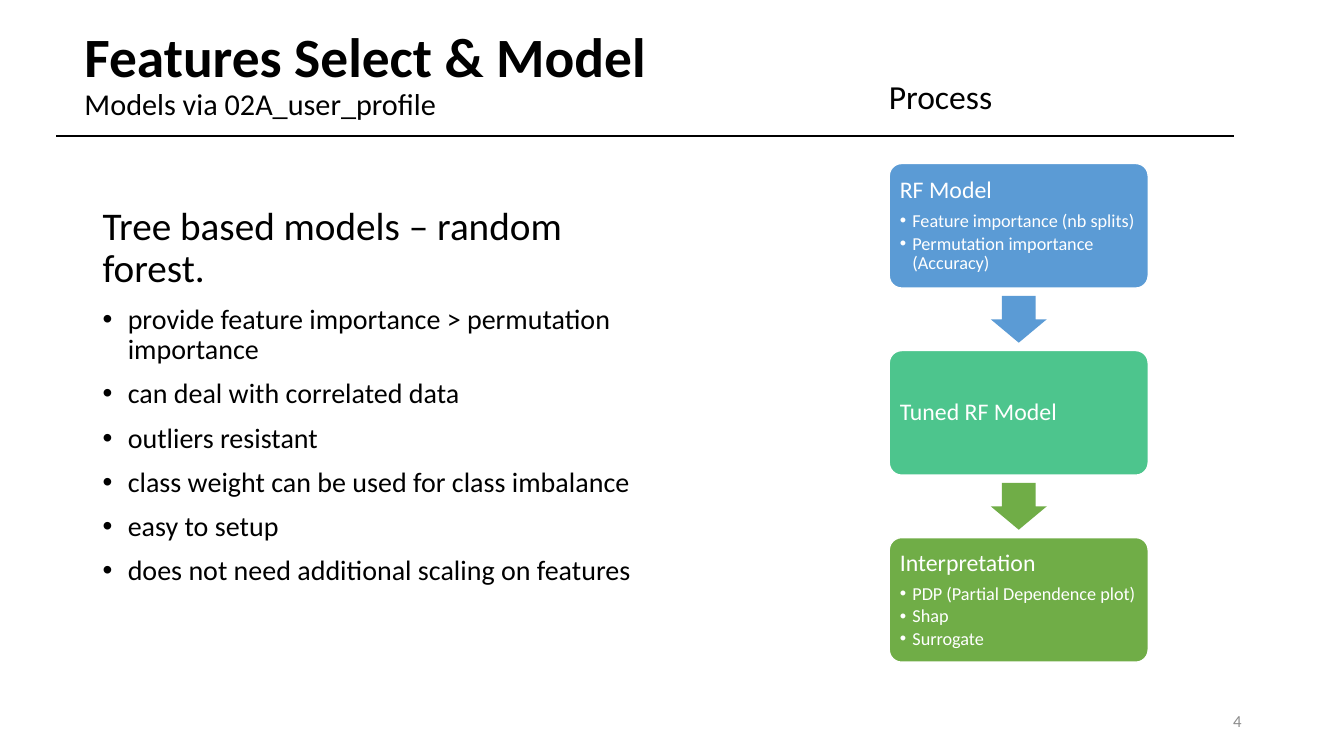
from lxml import etree
from pptx import Presentation
from pptx.dml.color import RGBColor
from pptx.enum.shapes import MSO_CONNECTOR, MSO_SHAPE
from pptx.enum.text import MSO_ANCHOR, PP_ALIGN
from pptx.oxml.ns import qn
from pptx.util import Pt

ROUNDED, DOWN_ARROW = MSO_SHAPE.ROUNDED_RECTANGLE, MSO_SHAPE.DOWN_ARROW
STRAIGHT = MSO_CONNECTOR.STRAIGHT
TOP, MIDDLE = MSO_ANCHOR.TOP, MSO_ANCHOR.MIDDLE
LEFT, RIGHT = PP_ALIGN.LEFT, PP_ALIGN.RIGHT

BLACK, WHITE, GREY = "000000", "FFFFFF", "8C8C8C"
BLUE, TEAL, GREEN = "5B9BD5", "4DC58D", "70AD47"

ADVANTAGES = [
    "provide feature importance > permutation importance",
    "can deal with correlated data",
    "outliers resistant",
    "class weight can be used for class imbalance",
    "easy to setup",
    "does not need additional scaling on features",
]
STEPS = [
    ("RF Model", ["Feature importance (nb splits)", "Permutation importance (Accuracy)"], BLUE),
    ("Tuned RF Model", [], TEAL),
    ("Interpretation", ["PDP (Partial Dependence plot)", "Shap", "Surrogate"], GREEN),
]
ARROW_COLORS = [BLUE, GREEN]

CARD_LEFT, CARD_TOP, CARD_WIDTH, CARD_HEIGHT, CARD_PITCH = 635.2, 116.8, 185, 89, 133.6
ARROW_WIDTH, ARROW_HEIGHT = 40, 33.4


def rgb(color):
    return RGBColor.from_string(color)


class SlideBuilder:
    font = "Calibri"

    def __init__(self, slide):
        self.slide = slide

    def style(self, paragraph, sizes, color, align=LEFT, spacing=0.9, before=0, after=0):
        """Format a paragraph; sizes holds one (points, bold) pair per run."""
        paragraph.alignment = align
        paragraph.line_spacing = spacing
        paragraph.space_before, paragraph.space_after = Pt(before), Pt(after)
        for run, (size, bold) in zip(paragraph.runs, sizes):
            run.font.name, run.font.size, run.font.bold = self.font, Pt(size), bold
            run.font.color.rgb = rgb(color)

    def bullet(self, paragraph, indent):
        properties = paragraph._p.get_or_add_pPr()
        properties.set("marL", str(Pt(indent)))
        properties.set("indent", str(-Pt(indent)))
        etree.SubElement(properties, qn("a:buFont")).set("typeface", "Arial")
        etree.SubElement(properties, qn("a:buChar")).set("char", "•")

    def bulleted_list(self, frame, heading, items, sizes, color, indent, before=0, after=(0, 0)):
        """Fill a frame with a plain heading and bulleted items below it."""
        frame.text = "\n".join([heading, *items])
        for index, paragraph in enumerate(frame.paragraphs):
            level = min(index, 1)
            self.style(paragraph, [(sizes[level], False)], color, before=before, after=after[level])
            if level:
                self.bullet(paragraph, indent)

    def text_box(self, left, top, width, height, anchor=TOP):
        shape = self.slide.shapes.add_textbox(Pt(left), Pt(top), Pt(width), Pt(height))
        frame = shape.text_frame
        frame.word_wrap, frame.vertical_anchor = True, anchor
        return frame

    def label(self, text, box, sizes, color, align=LEFT, spacing=1.0, anchor=TOP):
        frame = self.text_box(*box, anchor)
        paragraph = frame.paragraphs[0]
        paragraph.text = text
        self.style(paragraph, sizes, color, align, spacing)

    def filled_shape(self, kind, left, top, width, height, fill, adjustments):
        shape = self.slide.shapes.add_shape(kind, Pt(left), Pt(top), Pt(width), Pt(height))
        shape.shadow.inherit = False
        shape.fill.solid()
        shape.fill.fore_color.rgb = rgb(fill)
        shape.line.fill.background()
        for index, value in enumerate(adjustments):
            shape.adjustments[index] = value
        return shape

    def step_card(self, top, heading, items, fill):
        card = self.filled_shape(ROUNDED, CARD_LEFT, top, CARD_WIDTH, CARD_HEIGHT, fill, [0.1])
        card.line.color.rgb = rgb(WHITE)
        card.line.width = Pt(1)
        frame = card.text_frame
        frame.word_wrap, frame.vertical_anchor = True, MIDDLE
        frame.margin_left = frame.margin_right = frame.margin_top = frame.margin_bottom = Pt(5)
        self.bulleted_list(frame, heading, items, (17, 13), WHITE, 9, after=(6, 2))

    def step_arrow(self, center_y, fill):
        left = CARD_LEFT + (CARD_WIDTH - ARROW_WIDTH) / 2
        top = center_y - ARROW_HEIGHT / 2
        self.filled_shape(DOWN_ARROW, left, top, ARROW_WIDTH, ARROW_HEIGHT, fill, [0.6, 0.5])

    def rule(self, left, right, y):
        """Draw a horizontal line."""
        line = self.slide.shapes.add_connector(STRAIGHT, Pt(left), Pt(y), Pt(right), Pt(y))
        line.line.color.rgb = rgb(BLACK)
        line.line.width = Pt(1)
        etree.SubElement(line._element.spPr, qn("a:effectLst"))


def main():
    presentation = Presentation()
    presentation.slide_width, presentation.slide_height = Pt(960), Pt(540)
    builder = SlideBuilder(presentation.slides.add_slide(presentation.slide_layouts[6]))

    builder.label("Features Select & Model\vModels via 02A_user_profile", (53.3, 18.7, 828, 70.6),
                  [(39.6, True), (21.6, False)], BLACK, spacing=0.9, anchor=MIDDLE)
    advantages = builder.text_box(66.2, 144, 414, 342.7)
    builder.bulleted_list(advantages, "Tree based models – random forest.", ADVANTAGES,
                          (28, 20), BLACK, 18, before=10)
    builder.label("4", (678, 500.4, 216, 28.8), [(12, False)], GREY, align=RIGHT, anchor=MIDDLE)

    for index, step in enumerate(STEPS):
        builder.step_card(CARD_TOP + index * CARD_PITCH, *step)
    for index, color in enumerate(ARROW_COLORS):
        builder.step_arrow(CARD_TOP + index * CARD_PITCH + (CARD_HEIGHT + CARD_PITCH) / 2, color)

    builder.rule(40.3, 881.3, 97.2)
    builder.label("Process", (627.8, 50.4, 94, 36), [(24, False)], BLACK)
    presentation.save("out.pptx")


if __name__ == "__main__":
    main()
